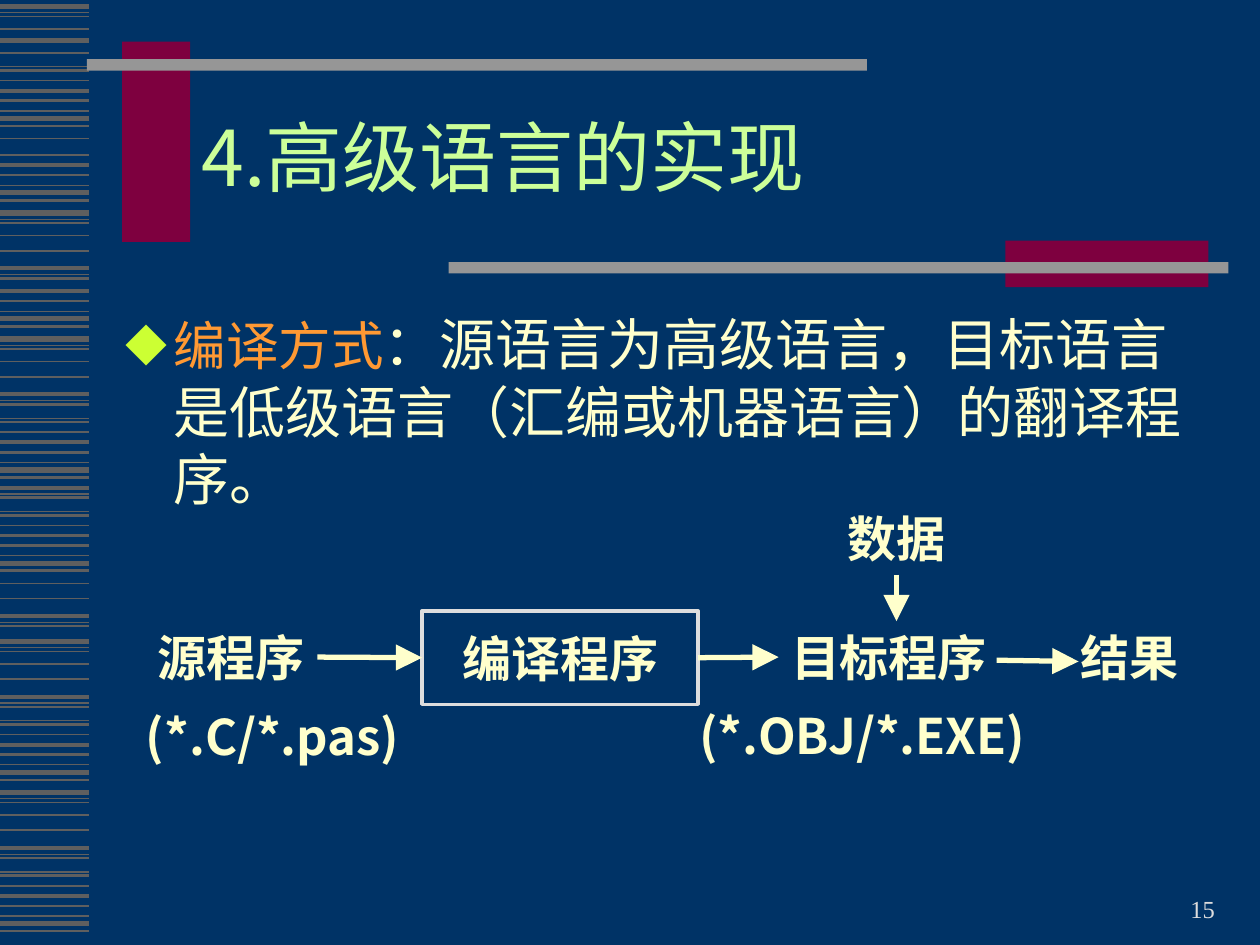
import pptx
import pptx.util
import pptx.dml.color
import pptx.enum.shapes
import pptx.enum.text
import pptx.oxml.ns
from lxml import etree

Inches, Pt = pptx.util.Inches, pptx.util.Pt
PP_ALIGN = pptx.enum.text.PP_ALIGN
ANCHOR = pptx.enum.text.MSO_ANCHOR
AUTO_SIZE = pptx.enum.text.MSO_AUTO_SIZE
RECT = pptx.enum.shapes.MSO_SHAPE.RECTANGLE
STRAIGHT = pptx.enum.shapes.MSO_CONNECTOR.STRAIGHT
qn = pptx.oxml.ns.qn

SANS, SERIF = "Noto Sans CJK SC", "Times New Roman"
NAVY, WINE, GREY, STRIPE = "003366", "7E003F", "969696", "5F5F5F"
CREAM, GREEN, LIME, ORANGE, SILVER = "FFFFCC", "CCFF99", "CCFF33", "FF9933", "DDDDDD"

RISING = [(-0.30, 1), (-0.22, 2.25), (-0.14, 1.5), (-0.06, 0.75), (0, 3), (0.06, 1.5)]
FALLING = [(0, 3), (0.05, 0.75), (0.08, 1), (0.18, 1), (0.30, 1), (0.44, 2.25),
           (0.49, 0.75), (0.52, 1.5), (0.63, 0.75), (0.66, 1.5)]
STRIPE_RUNS = [
    (FALLING, 0.05, 0, 4), (FALLING, 0.32, 0, 1), (FALLING, -0.10, 7, 10),
    (RISING, 0.94, 0, 6), (FALLING, 0.92, 3, 4), (RISING, 1.53, 0, 6),
    (FALLING, 1.69, 0, 8), (RISING, 2.53, 1, 6), (FALLING, 2.69, 0, 10),
    (RISING, 3.73, 0, 6), (FALLING, 3.43, 5, 10), (RISING, 4.47, 0, 6),
    (FALLING, 4.45, 3, 8), (FALLING, 5.09, 0, 10), (RISING, 6.13, 0, 6),
    (FALLING, 6.29, 0, 10), (RISING, 7.33, 0, 6),
]


def rgb(value):
    return pptx.dml.color.RGBColor.from_string(value)


def format_run(r, size, color, bold=False, font=SANS):
    r.font.size = Pt(size)
    r.font.bold = bold
    r.font.name = font
    r.font.color.rgb = rgb(color)
    ea = etree.SubElement(r._r.get_or_add_rPr(), qn("a:ea"))
    ea.set("typeface", font)


def add_line(s, x1, y1, x2, y2, color, width, arrow=False):
    sp = s.shapes.add_connector(STRAIGHT, Inches(x1), Inches(y1), Inches(x2), Inches(y2))
    sp.line.color.rgb = rgb(color)
    sp.line.width = Pt(width)
    if arrow:
        tail = etree.SubElement(sp.line._get_or_add_ln(), qn("a:tailEnd"))
        for key, value in [("type", "triangle"), ("w", "lg"), ("len", "lg")]:
            tail.set(key, value)
    etree.SubElement(sp._element.spPr, qn("a:effectLst"))
    return sp


def add_rect(s, x, y, w, h, fill, outline=None):
    sp = s.shapes.add_shape(RECT, Inches(x), Inches(y), Inches(w), Inches(h))
    sp.shadow.inherit = False
    sp.fill.solid()
    sp.fill.fore_color.rgb = rgb(fill)
    if outline:
        sp.line.color.rgb = rgb(outline)
        sp.line.width = Pt(2)
    else:
        sp.line.fill.background()
    return sp


def add_label(s, x, y, w, text, wrap=True, align=PP_ALIGN.LEFT):
    sp = s.shapes.add_textbox(Inches(x), Inches(y), Inches(w), Inches(0.57))
    tf = sp.text_frame
    tf.word_wrap = wrap
    tf.auto_size = AUTO_SIZE.SHAPE_TO_FIT_TEXT
    p = tf.paragraphs[0]
    p.text = text
    p.alignment = align
    format_run(p.runs[0], 28, CREAM, True)
    return sp


def add_stripes(s, x, y, w):
    for motif, base, first, last in STRIPE_RUNS:
        for offset, width in motif[first:last]:
            level = y + base + offset
            add_line(s, x, level, x + w, level, STRIPE, width)


def add_bars(s, x, y):
    add_rect(s, x + 0.28, y, 0.54, 1.59, WINE)
    add_rect(s, x, y + 0.14, 6.19, 0.09, GREY)
    add_rect(s, x + 7.29, y + 1.58, 1.61, 0.37, WINE)
    add_rect(s, x + 2.87, y + 1.75, 6.19, 0.09, GREY)


def add_title(s, x, y, w, h):
    sp = s.shapes.title
    sp.left, sp.top, sp.width, sp.height = Inches(x), Inches(y), Inches(w), Inches(h)
    tf = sp.text_frame
    tf.text = "4.高级语言的实现"
    tf.vertical_anchor = ANCHOR.MIDDLE
    p = tf.paragraphs[0]
    p.alignment = PP_ALIGN.LEFT
    p.line_spacing = 0.85
    format_run(p.runs[0], 44, GREEN)


def add_body(s, x, y, w, h):
    tf = s.shapes.add_textbox(Inches(x), Inches(y), Inches(w), Inches(h)).text_frame
    tf.word_wrap = True
    p = tf.paragraphs[0]
    pPr = p._p.get_or_add_pPr()
    pPr.set("marL", str(Inches(0.38)))
    pPr.set("indent", str(Inches(-0.38)))
    color = etree.SubElement(pPr, qn("a:buClr"))
    etree.SubElement(color, qn("a:srgbClr")).set("val", LIME)
    etree.SubElement(pPr, qn("a:buSzPct")).set("val", "80000")
    etree.SubElement(pPr, qn("a:buFont")).set("typeface", SANS)
    etree.SubElement(pPr, qn("a:buChar")).set("char", "◆")
    for text, size, color in [
        ("编译方式", 30, ORANGE),
        ("：源语言为高级语言，目标语言是低级语言（汇编或机器语言）的翻译程序。", 32, CREAM),
    ]:
        r = p.add_run()
        r.text = text
        format_run(r, size, color)


def add_flow(s, x, y):
    row = y + 0.94
    source = add_label(s, x + 0.09, row, 1.37, "源程序", wrap=False)
    add_label(s, x + 7.42, row, 1.87, "结果")
    add_label(s, x, y + 1.57, 2.54, "(*.C/*.pas)", wrap=False)
    add_label(s, x + 4.39, y + 1.56, 3.12, "(*.OBJ/*.EXE)", wrap=False)
    target = add_label(s, x + 5.12, row, 1.87, "目标程序")
    data = add_label(s, x + 5.12, y, 1.87, "数据", align=PP_ALIGN.CENTER)

    compiler = add_rect(s, x + 2.29, y + 0.86, 2.19, 0.74, NAVY, SILVER)
    tf = compiler.text_frame
    tf.word_wrap = False
    tf.vertical_anchor = ANCHOR.MIDDLE
    p = tf.paragraphs[0]
    p.text = "编译程序"
    p.alignment = PP_ALIGN.CENTER
    format_run(p.runs[0], 28, CREAM, True)

    for start, start_side, end, end_side in [
        (source, 3, compiler, 1), (compiler, 3, target, 1), (data, 2, target, 0),
    ]:
        arrow = add_line(s, x, y, x, y, CREAM, 3, arrow=True)
        arrow.begin_connect(start, start_side)
        arrow.end_connect(end, end_side)
    add_line(s, x + 6.85, row + 0.31, x + 7.5, row + 0.32, CREAM, 3, arrow=True)


def add_page_number(s, x, y, w, h):
    tf = s.shapes.add_textbox(Inches(x), Inches(y), Inches(w), Inches(h)).text_frame
    tf.word_wrap = True
    tf.vertical_anchor = ANCHOR.BOTTOM
    p = tf.paragraphs[0]
    p.text = "15"
    p.alignment = PP_ALIGN.RIGHT
    format_run(p.runs[0], 14, SILVER, font=SERIF)


def main():
    prs = pptx.Presentation()
    prs.slide_width, prs.slide_height = Inches(10), Inches(7.5)
    s = prs.slides.add_slide(prs.slide_layouts[5])
    s.background.fill.solid()
    s.background.fill.fore_color.rgb = rgb(NAVY)
    add_stripes(s, 0, 0, 0.71)
    add_bars(s, 0.69, 0.33)
    add_page_number(s, 7.34, 6.88, 2.4, 0.5)
    add_title(s, 1.5, 0.67, 8.07, 1.25)
    add_body(s, 0.9, 2.41, 8.7, 4.24)
    add_flow(s, 1.06, 3.99)
    prs.save("out.pptx")


if __name__ == "__main__":
    main()
